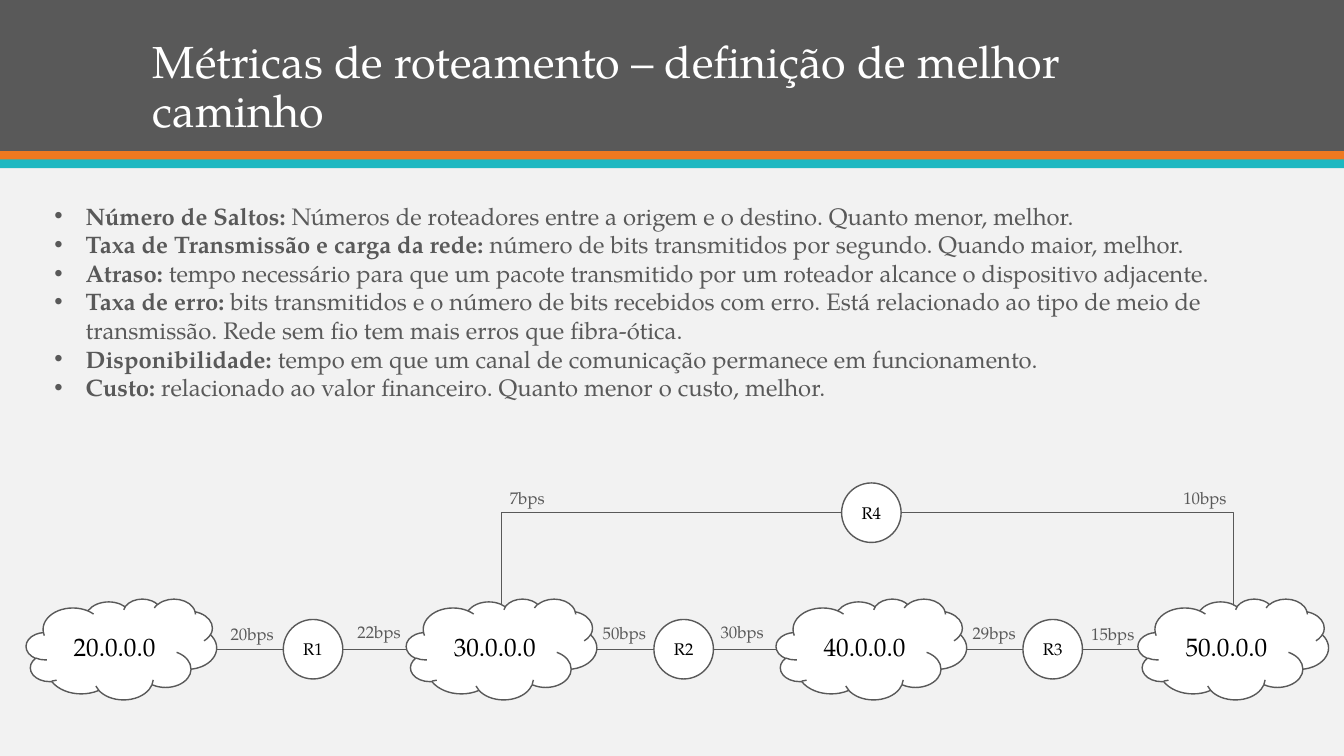
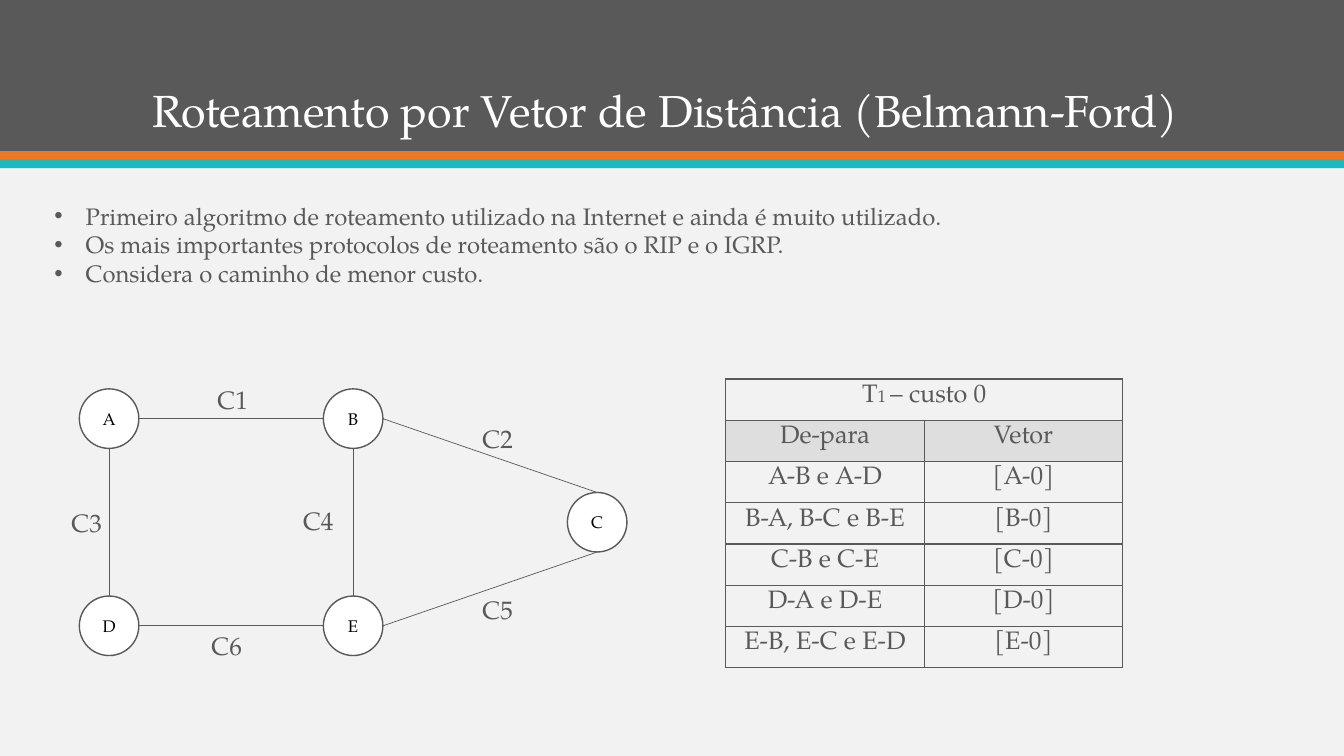
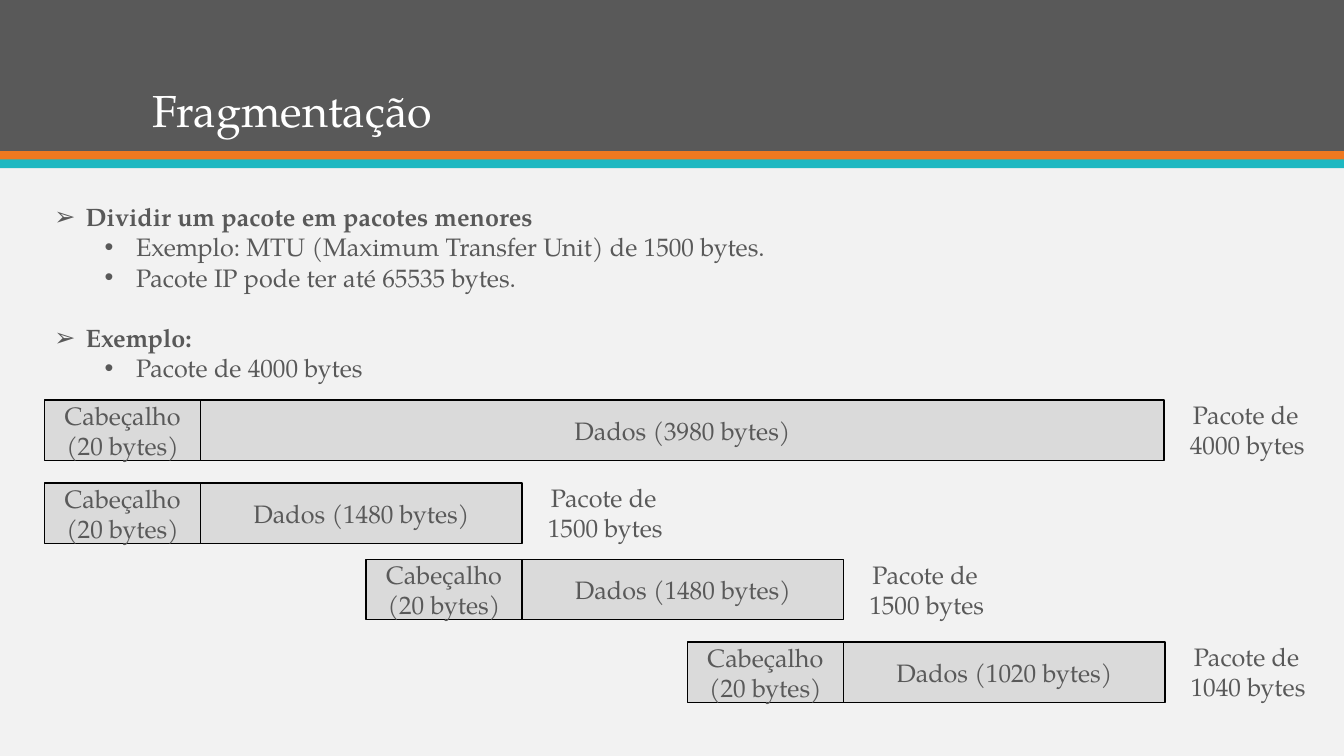
import pptx
import pptx.util
import pptx.dml.color
import pptx.enum.dml
import pptx.enum.shapes
import pptx.enum.text
import pptx.oxml.ns
from lxml import etree

Cm, Pt = pptx.util.Cm, pptx.util.Pt
SHAPE = pptx.enum.shapes.MSO_SHAPE
CONNECTOR = pptx.enum.shapes.MSO_CONNECTOR
ALIGN = pptx.enum.text.PP_ALIGN
ANCHOR = pptx.enum.text.MSO_ANCHOR
qn = pptx.oxml.ns.qn

FONT = "TeX Gyre Pagella"
GREY, WHITE, BLACK, PAPER = "595959", "FFFFFF", "000000", "F2F2F2"
HEAD_FILL, PACKET_FILL = "DEDEDE", "DADADA"
SLIDE_W, SLIDE_H = 33.87, 19.05
BANDS = [(0, 3.81, GREY), (3.81, 0.22, "EF7920"), (4.02, 0.22, "1EB8C1")]  # top, height, colour
TITLE_BOX = (3.6, 0.71, 26.67, 2.87)
BODY_LEFT, BODY_TOP, BODY_W = 1.12, 4.95, 31.65
CIRCLE = 1.5

# Bullets: character, level, bold text, plain text
METRICS = [
    ("•", 0, "Número de Saltos: ",
     "Números de roteadores entre a origem e o destino. Quanto menor, melhor."),
    ("•", 0, "Taxa de Transmissão e carga da rede: ",
     "número de bits transmitidos por segundo. Quando maior, melhor."),
    ("•", 0, "Atraso: ",
     "tempo necessário para que um pacote transmitido por um roteador alcance "
     "o dispositivo adjacente."),
    ("•", 0, "Taxa de erro: ",
     "bits transmitidos e o número de bits recebidos com erro. Está relacionado ao tipo "
     "de meio de transmissão. Rede sem fio tem mais erros que fibra-ótica."),
    ("•", 0, "Disponibilidade: ",
     "tempo em que um canal de comunicação permanece em funcionamento."),
    ("•", 0, "Custo: ", "relacionado ao valor financeiro. Quanto menor o custo, melhor."),
]
VECTOR = [
    ("•", 0, "", "Primeiro algoritmo de roteamento utilizado na Internet e ainda é muito utilizado."),
    ("•", 0, "", "Os mais importantes protocolos de roteamento são o RIP e o IGRP."),
    ("•", 0, "", "Considera o caminho de menor custo."),
]
FRAGMENTATION = [
    ("➢", 0, "Dividir um pacote em pacotes menores", ""),
    ("•", 1, "", "Exemplo: MTU (Maximum Transfer Unit) de 1500 bytes."),
    ("•", 1, "", "Pacote IP pode ter até 65535 bytes."),
    ("➢", 0, "Exemplo:", ""),
    ("•", 1, "", "Pacote de 4000 bytes"),
]

# Chain of networks and routers, left to right: name, left
CLOUD_W, CLOUD_H = 4.8, 2.54
CHAIN_Y, BYPASS_Y, BYPASS_LEFT = 16.36, 12.92, 21.21
CHAIN = [("20.0.0.0", 0.66), ("R1", 7.14), ("30.0.0.0", 10.24), ("R2", 16.48),
         ("40.0.0.0", 19.56), ("R3", 25.78), ("50.0.0.0", 28.68)]
RATES = [("20bps", 5.56, 15.6), ("22bps", 8.76, 15.54), ("50bps", 14.94, 15.57),
         ("30bps", 17.91, 15.54), ("29bps", 24.26, 15.57), ("15bps", 27.25, 15.6),
         ("7bps", 12.6, 12.17), ("10bps", 29.57, 12.17)]

# Graph: node -> column, row; edges: node, side, node, side
NODES = {"A": (0, 0), "B": (1, 0), "C": (2, 1), "D": (0, 2), "E": (1, 2)}
GRAPH_LEFT, GRAPH_TOP, COL_STEP, ROW_STEP = 2.0, 9.8, 6.15, 2.61
SIDES = {"top": (0.5, 0), "left": (0, 0.5), "bottom": (0.5, 1), "right": (1, 0.5)}
EDGES = [("A", "bottom", "D", "top"), ("B", "bottom", "E", "top"),
         ("B", "right", "C", "top"), ("E", "right", "C", "bottom"),
         ("D", "right", "E", "left"), ("A", "right", "B", "left")]
COSTS = [("C1", 5.23, 9.55), ("C2", 11.91, 10.54), ("C3", 1.55, 12.65),
         ("C4", 7.39, 12.62), ("C5", 11.91, 14.86), ("C6", 5.08, 15.75)]

TABLE_BOX = (18.29, 9.55, 10, 7.28)
TABLE_TITLE = [("T", 18), ("1 ", 12), ("– custo 0", 18)]
TABLE = [("De-para", "Vetor"), ("A-B e A-D", "[A-0]"), ("B-A, B-C e B-E", "[B-0]"),
         ("C-B e C-E", "[C-0]"), ("D-A e D-E", "[D-0]"), ("E-B, E-C e E-D", "[E-0]")]

# Packets: columns shifted right, top, data width, data bytes, total bytes
HEADER_W, DATA_W, PACKET_H = 3.94, 8.1, 1.52
PACKETS = [(0, 10.08, 24.28, 3980, 4000), (0, 12.17, DATA_W, 1480, 1500),
           (1, 14.1, DATA_W, 1480, 1500), (2, 16.18, DATA_W, 1020, 1040)]


def rgb(color):
    return pptx.dml.color.RGBColor.from_string(color)


def style(r, size, color=GREY, bold=False):
    r.font.name, r.font.size, r.font.bold = FONT, Pt(size), bold
    r.font.color.rgb = rgb(color)


def add_text(s, box, text, size, color=GREY, align=ALIGN.LEFT):
    """Text box; a vertical tab in the text is a line break."""
    tf = s.shapes.add_textbox(*map(Cm, box)).text_frame
    tf.word_wrap = True
    p = tf.paragraphs[0]
    p.text, p.alignment = text, align
    for r in p.runs:
        style(r, size, color)
    return tf


def add_labels(s, labels, size, width, height):
    for text, left, top in labels:
        add_text(s, (left, top, width, height), text, size)


def add_node(s, kind, box, fill, line=None, text="", size=18, color=GREY):
    sp = s.shapes.add_shape(kind, *map(Cm, box))
    sp.shadow.inherit = False
    sp.fill.solid()
    sp.fill.fore_color.rgb = rgb(fill)
    if line:
        sp.line.color.rgb, sp.line.width = rgb(line), Pt(1)
    else:
        sp.line.fill.background()
    if text:
        tf = sp.text_frame
        tf.word_wrap, tf.vertical_anchor = True, ANCHOR.MIDDLE
        tf.margin_left = tf.margin_right = tf.margin_top = tf.margin_bottom = 0
        p = tf.paragraphs[0]
        p.text, p.alignment = text, ALIGN.CENTER
        style(p.runs[0], size, color)


def add_circle(s, left, top, text):
    add_node(s, SHAPE.OVAL, (left, top, CIRCLE, CIRCLE), WHITE, GREY, text, 12, BLACK)


def add_link(s, start, end, bent=False):
    """Straight line, or one that runs sideways and then turns down."""
    kind = CONNECTOR.ELBOW if bent else CONNECTOR.STRAIGHT
    link = s.shapes.add_connector(kind, *map(Cm, start + end))
    link.line.color.rgb, link.line.width = rgb(GREY), Pt(0.5)
    spPr = link._element.spPr
    etree.SubElement(spPr, qn("a:effectLst"))
    if bent:
        spPr.find(qn("a:prstGeom")).set("prst", "bentConnector2")


def add_bullets(s, items, size):
    tf = s.shapes.add_textbox(Cm(BODY_LEFT), Cm(BODY_TOP), Cm(BODY_W), Cm(5)).text_frame
    tf.word_wrap = True
    tf.auto_size = pptx.enum.text.MSO_AUTO_SIZE.SHAPE_TO_FIT_TEXT
    previous = 0
    for i, (char, level, bold, plain) in enumerate(items):
        p = tf.add_paragraph() if i else tf.paragraphs[0]
        p.level = level
        if level < previous:
            p.space_before = Pt(size * 1.2)
        previous = level
        for text in (bold, plain):
            if text:
                r = p.add_run()
                r.text = text
                style(r, size, bold=text is bold)
        pPr = p._p.get_or_add_pPr()
        pPr.set("marL", str(Cm(0.79 + 1.27 * level)))
        pPr.set("indent", str(-Cm(0.79)))
        etree.SubElement(pPr, qn("a:buFont"), typeface="Arial")
        etree.SubElement(pPr, qn("a:buChar"), char=char)


def add_slide(prs, title, bullets, size):
    s = prs.slides.add_slide(prs.slide_layouts[6])
    for top, height, color in BANDS:
        add_node(s, SHAPE.RECTANGLE, (0, top, SLIDE_W, height), color)
    tf = add_text(s, TITLE_BOX, title, 32, WHITE)
    tf.vertical_anchor = ANCHOR.BOTTOM
    tf.paragraphs[0].line_spacing = 0.9
    add_bullets(s, bullets, size)
    return s


def add_network(s):
    spans = []
    for name, left in CHAIN:
        if name.startswith("R"):
            width = CIRCLE
            add_circle(s, left, CHAIN_Y - CIRCLE / 2, name)
        else:
            width = CLOUD_W
            add_node(s, SHAPE.CLOUD, (left, CHAIN_Y - CLOUD_H / 2, CLOUD_W, CLOUD_H),
                     WHITE, GREY, name, 18, BLACK)
        spans.append((left, left + width))
    for (_, start), (end, _) in zip(spans, spans[1:]):
        add_link(s, (start, CHAIN_Y), (end, CHAIN_Y))
    add_circle(s, BYPASS_LEFT, BYPASS_Y - CIRCLE / 2, "R4")
    for side, (left, right) in ((BYPASS_LEFT, spans[2]), (BYPASS_LEFT + CIRCLE, spans[6])):
        add_link(s, (side, BYPASS_Y), ((left + right) / 2, CHAIN_Y - 1.12), bent=True)
    add_labels(s, RATES, 12, 1.8, 0.76)


def add_graph(s):
    corners = {name: (GRAPH_LEFT + col * COL_STEP, GRAPH_TOP + row * ROW_STEP)
               for name, (col, row) in NODES.items()}

    def side_point(name, side):
        return tuple(c + CIRCLE * f for c, f in zip(corners[name], SIDES[side]))

    for name, corner in corners.items():
        add_circle(s, *corner, name)
    for a, a_side, b, b_side in EDGES:
        add_link(s, side_point(a, a_side), side_point(b, b_side))
    add_labels(s, COSTS, 18, 1.5, 1.02)


def format_cell(cell, fill):
    tcPr = cell._tc.get_or_add_tcPr()
    for side in ("lnL", "lnR", "lnT", "lnB"):
        ln = etree.SubElement(tcPr, qn("a:" + side), w=str(Pt(1)))
        etree.SubElement(etree.SubElement(ln, qn("a:solidFill")), qn("a:srgbClr"), val=GREY)
    if fill:
        cell.fill.solid()
        cell.fill.fore_color.rgb = rgb(fill)
    else:
        cell.fill.background()


def add_cost_table(s):
    rows = [(TABLE_TITLE, [])] + [[[(text, 18)] for text in row] for row in TABLE]
    table = s.shapes.add_table(len(rows), 2, *map(Cm, TABLE_BOX)).table
    table.first_row = table.horz_banding = False
    for i, row in enumerate(rows):
        for j, runs in enumerate(row):
            cell = table.cell(i, j)
            format_cell(cell, HEAD_FILL if i == 1 else None)
            p = cell.text_frame.paragraphs[0]
            p.alignment = ALIGN.CENTER
            for text, size in runs:
                r = p.add_run()
                r.text = text
                style(r, size)
    table.cell(0, 0).merge(table.cell(0, 1))


def add_packets(s):
    for shift, top, width, data, total in PACKETS:
        left = BODY_LEFT + shift * DATA_W
        middle = left + HEADER_W
        add_node(s, SHAPE.RECTANGLE, (middle, top, width, PACKET_H), PACKET_FILL, BLACK,
                 f"Dados ({data} bytes)")
        add_node(s, SHAPE.RECTANGLE, (left, top, HEADER_W, PACKET_H), PACKET_FILL, BLACK,
                 "Cabeçalho (20 bytes)")
        add_text(s, (middle + width - 0.15, top - 0.14, HEADER_W, 1.8),
                 f"Pacote de \v{total} bytes", 18, align=ALIGN.RIGHT)


def main():
    prs = pptx.Presentation()
    prs.slide_width, prs.slide_height = Cm(SLIDE_W), Cm(SLIDE_H)
    background = prs.slide_master.background.fill
    background.solid()
    background.fore_color.rgb = rgb(PAPER)

    add_network(add_slide(prs, "Métricas de roteamento – definição de melhor caminho", METRICS, 17))

    s = add_slide(prs, "Roteamento por Vetor de Distância (Belmann-Ford)", VECTOR, 17)
    add_graph(s)
    add_cost_table(s)

    add_packets(add_slide(prs, "Fragmentação", FRAGMENTATION, 18))
    prs.save("out.pptx")


if __name__ == "__main__":
    main()
